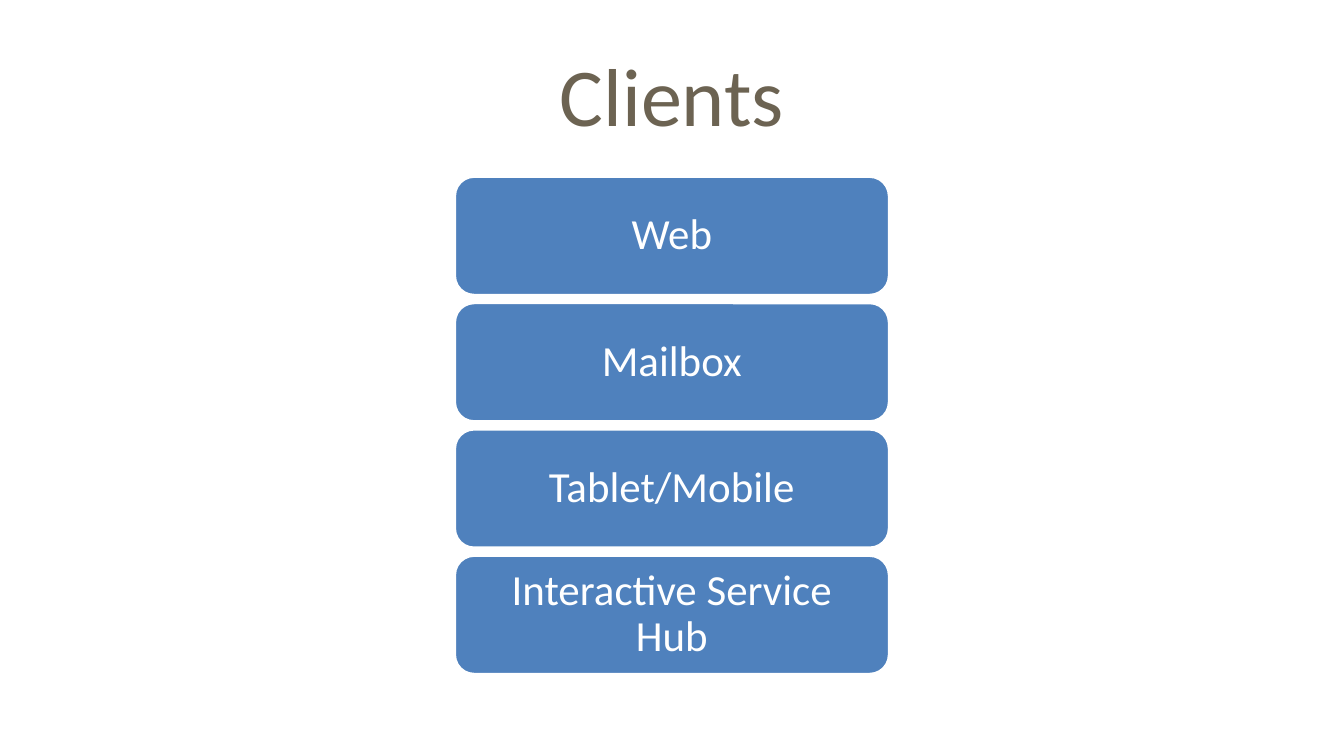
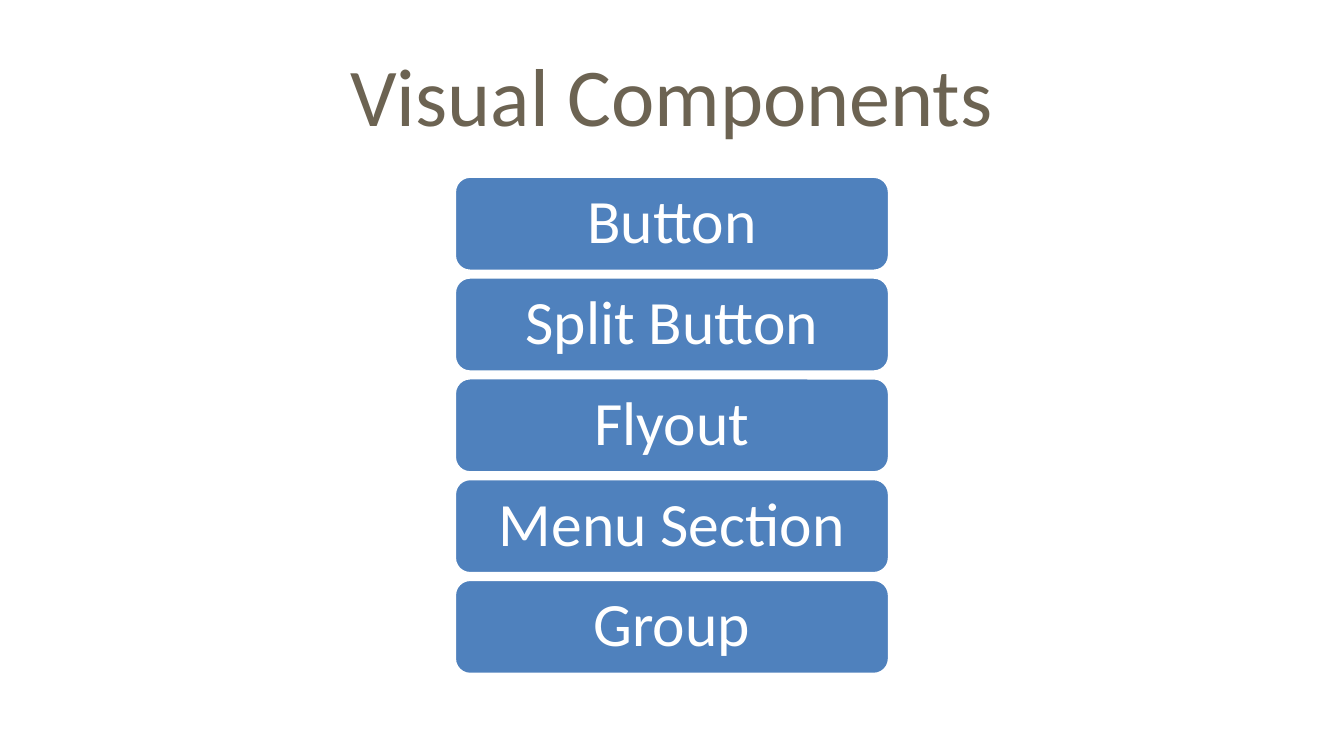
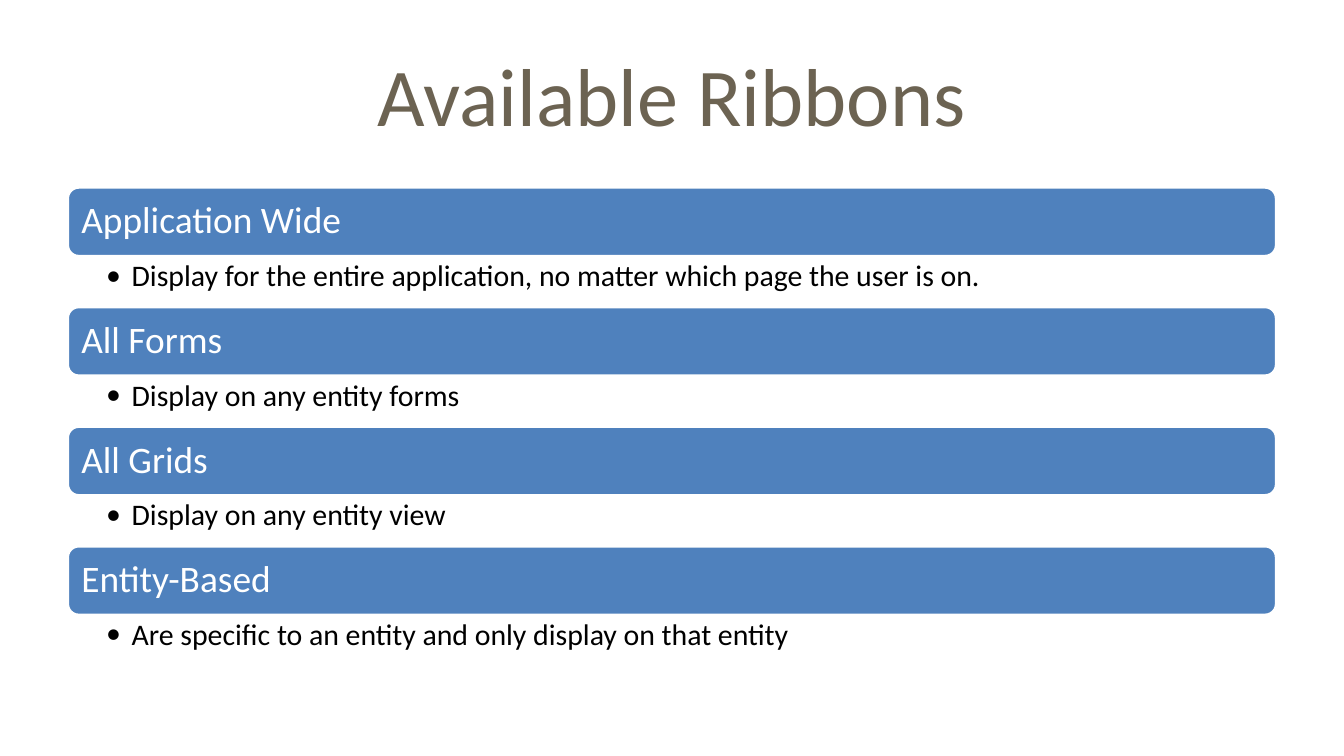
from lxml import etree
from pptx import Presentation
from pptx.dml.color import RGBColor
from pptx.enum.shapes import MSO_SHAPE as SHAPE
from pptx.enum.text import MSO_ANCHOR as ANCHOR, PP_ALIGN as ALIGN
from pptx.oxml.ns import qn
from pptx.util import Inches, Pt

FONT = "Calibri"
COLORS = {"title": "6C6352", "bar": "4F81BD", "bar_text": "FFFFFF",
          "edge": "FFFFFF", "detail": "000000"}

# Text formats: frame and paragraph attributes, font size, colour
FORMATS = {
    "title": {
        "frame": {"vertical_anchor": ANCHOR.MIDDLE},
        "paragraph": {"alignment": ALIGN.CENTER},
        "size": 44, "color": "title"},
    "client": {
        "frame": {"vertical_anchor": ANCHOR.MIDDLE,
                  "margin_left": Inches(0.1), "margin_right": Inches(0.1),
                  "margin_top": Inches(0.05), "margin_bottom": Inches(0.05)},
        "paragraph": {"alignment": ALIGN.CENTER, "line_spacing": 0.9},
        "size": 23, "color": "bar_text"},
    "component": {
        "frame": {"vertical_anchor": ANCHOR.MIDDLE,
                  "margin_left": Inches(0.14), "margin_right": Inches(0.14),
                  "margin_top": Inches(0.07), "margin_bottom": Inches(0.07)},
        "paragraph": {"alignment": ALIGN.CENTER, "line_spacing": 0.9},
        "size": 33, "color": "bar_text"},
    "ribbon": {
        "frame": {"vertical_anchor": ANCHOR.MIDDLE,
                  "margin_left": Inches(0.08), "margin_right": Inches(0.08),
                  "margin_top": Inches(0.08), "margin_bottom": Inches(0.08)},
        "paragraph": {"alignment": ALIGN.LEFT, "line_spacing": 0.9},
        "size": 20, "color": "bar_text"},
    "detail": {
        "frame": {"vertical_anchor": ANCHOR.TOP,
                  "margin_left": Inches(0.29), "margin_right": Inches(0.16),
                  "margin_top": Inches(0.03), "margin_bottom": Inches(0.03)},
        "paragraph": {"alignment": ALIGN.LEFT, "line_spacing": 0.9, "level": 1},
        "size": 16, "color": "detail", "bullet": "•", "indent": 0.19},
}

# Slide contents: bars are (heading, detail) pairs
SLIDES = [
    {"title": "Clients", "format": "client",
     "left": 3.38, "top": 1.31, "width": 3.24, "height": 0.89, "pitch": 0.94,
     "bars": [("Web", None), ("Mailbox", None), ("Tablet/Mobile", None),
              ("Interactive Service Hub", None)]},
    {"title": "Visual Components", "format": "component",
     "left": 3.38, "top": 1.31, "width": 3.24, "height": 0.71, "pitch": 0.75,
     "bars": [("Button", None), ("Split Button", None), ("Flyout", None),
              ("Menu Section", None), ("Group", None)]},
    {"title": "Available Ribbons", "format": "ribbon",
     "left": 0.5, "top": 1.39, "width": 9, "height": 0.52, "pitch": 0.89,
     "bars": [
         ("Application Wide",
          "Display for the entire application, no matter which page the user is on."),
         ("All Forms", "Display on any entity forms"),
         ("All Grids", "Display on any entity view"),
         ("Entity-Based",
          "Are specific to an entity and only display on that entity")]},
]


def write_text(box, text, format_name):
    style = FORMATS[format_name]
    frame = box.text_frame
    frame.word_wrap = True
    for name, value in style["frame"].items():
        setattr(frame, name, value)
    paragraph = frame.paragraphs[0]
    for name, value in style["paragraph"].items():
        setattr(paragraph, name, value)
    if "bullet" in style:
        props = paragraph._p.get_or_add_pPr()
        props.set("marL", str(Inches(style["indent"])))
        props.set("indent", str(-Inches(style["indent"])))
        etree.SubElement(props, qn("a:buFont"), typeface=FONT)
        etree.SubElement(props, qn("a:buChar"), char=style["bullet"])
    run = paragraph.add_run()
    run.text = text
    run.font.name = FONT
    run.font.size = Pt(style["size"])
    run.font.color.rgb = RGBColor.from_string(COLORS[style["color"]])


# Widescreen page, 16:9
prs = Presentation()
prs.slide_width = Inches(10)
prs.slide_height = prs.slide_width * 9 // 16

for content in SLIDES:
    slide = prs.slides.add_slide(prs.slide_layouts[6])

    # Title
    title = slide.shapes.add_textbox(Inches(0.5), Inches(0.23), Inches(9), Inches(0.94))
    write_text(title, content["title"], "title")

    # Stack of bars, each with its detail line below
    left, width = Inches(content["left"]), Inches(content["width"])
    for row, (heading, detail) in enumerate(content["bars"]):
        top = content["top"] + row * content["pitch"]
        bar = slide.shapes.add_shape(SHAPE.ROUNDED_RECTANGLE, left, Inches(top),
                                     width, Inches(content["height"]))
        bar.shadow.inherit = False
        bar.fill.solid()
        bar.fill.fore_color.rgb = RGBColor.from_string(COLORS["bar"])
        bar.line.color.rgb = RGBColor.from_string(COLORS["edge"])
        bar.line.width = Pt(2)
        write_text(bar, heading, content["format"])
        if detail:
            detail_line = slide.shapes.add_textbox(
                left, Inches(top + content["height"]), width, Inches(0.36))
            write_text(detail_line, detail, "detail")

prs.save("out.pptx")
